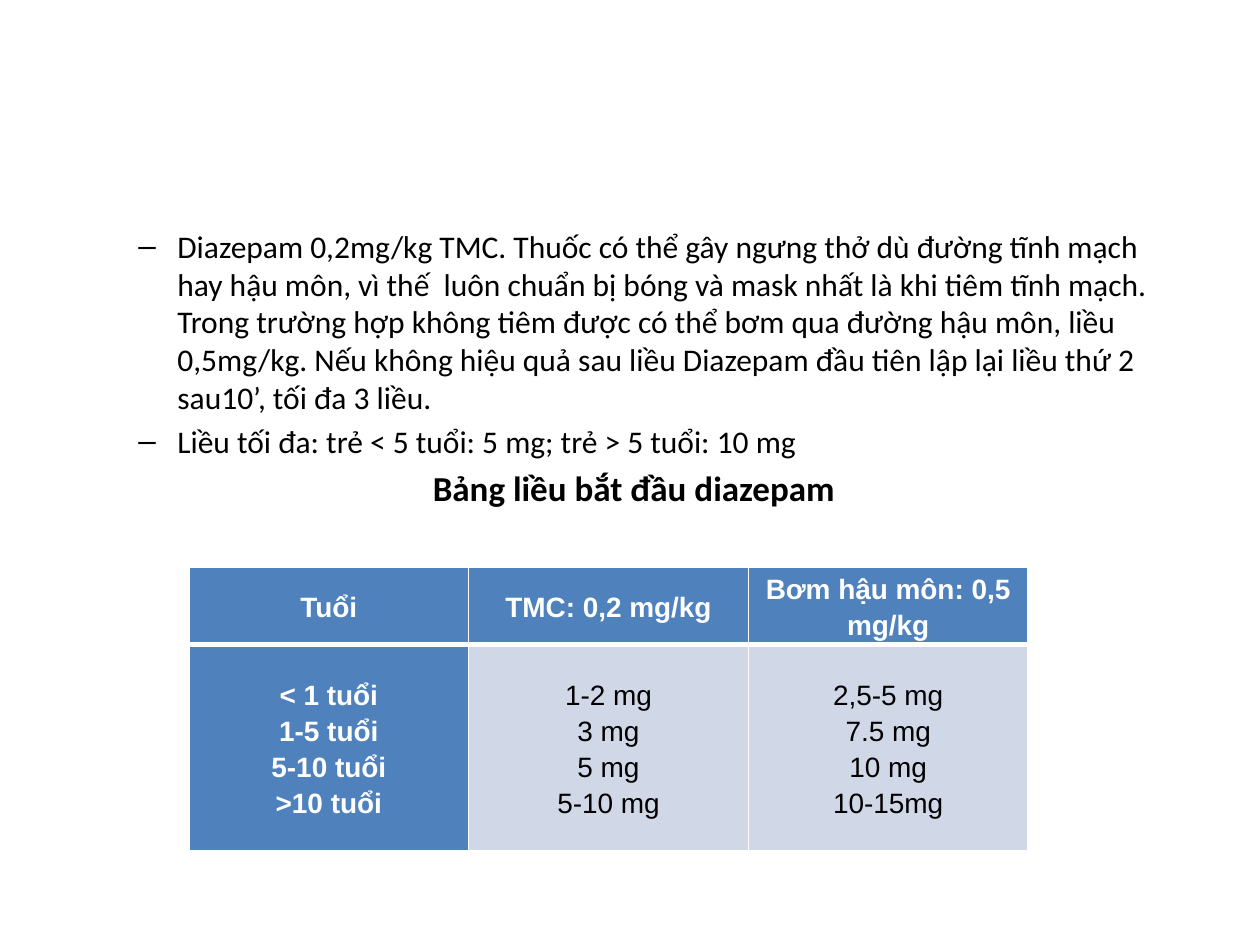
from dataclasses import dataclass

from lxml.etree import SubElement
from pptx import Presentation
from pptx.dml.color import RGBColor
from pptx.enum.text import MSO_ANCHOR, PP_ALIGN
from pptx.oxml.ns import qn
from pptx.util import Inches, Pt

BLACK = RGBColor(0x00, 0x00, 0x00)
WHITE = RGBColor(0xFF, 0xFF, 0xFF)
BLUE = RGBColor(0x4F, 0x81, 0xBD)
PALE = RGBColor(0xD0, 0xD8, 0xE8)


@dataclass
class DoseColumn:
    header: str
    doses: list[str]
    fill: RGBColor = PALE
    color: RGBColor = BLACK
    bold: bool = False


BULLETS = [
    "Diazepam 0,2mg/kg TMC. Thuốc có thể gây ngưng thở dù đường tĩnh mạch hay hậu môn, "
    "vì thế  luôn chuẩn bị bóng và mask nhất là khi tiêm tĩnh mạch. Trong trường hợp không "
    "tiêm được có thể bơm qua đường hậu môn, liều 0,5mg/kg. Nếu không hiệu quả sau liều "
    "Diazepam đầu tiên lập lại liều thứ 2 sau10’, tối đa 3 liều.",
    "Liều tối đa: trẻ < 5 tuổi: 5 mg; trẻ > 5 tuổi: 10 mg",
]
TABLE_TITLE = " Bảng liều bắt đầu diazepam"
COLUMNS = [
    DoseColumn("Tuổi", ["< 1 tuổi", "1-5 tuổi", "5-10 tuổi", ">10 tuổi"], BLUE, WHITE, True),
    DoseColumn("TMC: 0,2 mg/kg", ["1-2 mg", "3 mg", "5 mg", "5-10 mg"]),
    DoseColumn("Bơm hậu môn: 0,5 mg/kg", ["2,5-5 mg", "7.5 mg", "10 mg", "10-15mg"]),
]


def add_text(tf, text: str, *, size: float, font: str, color=BLACK, bold=False,
             align=PP_ALIGN.LEFT, margin=0.0, indent=0.0, before=0.0, spacing=1.0,
             bullet=None) -> None:
    """Write one paragraph, using the frame's empty first paragraph if it is free."""
    p = tf.paragraphs[0] if not tf.paragraphs[0].runs else tf.add_paragraph()
    p.alignment, p.line_spacing, p.space_before = align, spacing, Pt(before)
    pPr = p._p.get_or_add_pPr()
    pPr.set("marL", str(Inches(margin)))
    pPr.set("indent", str(Inches(indent)))
    if bullet:
        SubElement(pPr, qn("a:buFont"), typeface="Arial")
        SubElement(pPr, qn("a:buChar"), char=bullet)
    r = p.add_run()
    r.text = text
    r.font.name, r.font.size, r.font.bold = font, Pt(size), bold
    r.font.color.rgb = color


def set_borders(cell, top: float, bottom: float) -> None:
    tcPr = cell._tc.get_or_add_tcPr()
    for side, width in (("L", 1), ("R", 1), ("T", top), ("B", bottom)):
        ln = SubElement(tcPr, qn(f"a:ln{side}"), w=str(Pt(width)))
        fill = SubElement(ln, qn("a:solidFill"))
        SubElement(fill, qn("a:srgbClr"), val=str(WHITE))


def fill_cell(cell, lines: list[str], fill: RGBColor, color: RGBColor, bold: bool,
              top: float = 1, bottom: float = 1) -> None:
    set_borders(cell, top, bottom)
    cell.fill.solid()
    cell.fill.fore_color.rgb = fill
    cell.vertical_anchor = MSO_ANCHOR.MIDDLE
    cell.margin_left = cell.margin_right = Inches(0.07)
    cell.margin_top = cell.margin_bottom = 0
    for line in lines:
        add_text(cell.text_frame, line, size=16, font="Arial", color=color, bold=bold,
                 align=PP_ALIGN.CENTER, indent=-0.11, spacing=1.15)


def add_guidance(s) -> None:
    tf = s.shapes.add_textbox(Inches(0.5), Inches(1.75), Inches(9), Inches(4.95)).text_frame
    tf.word_wrap = True
    for text in BULLETS:
        add_text(tf, text, size=18, font="Calibri", margin=0.81, indent=-0.31,
                 before=3.6, bullet="–")
    add_text(tf, TABLE_TITLE, size=20, font="Calibri", bold=True,
             align=PP_ALIGN.CENTER, before=4)


def add_dose_table(s) -> None:
    table = s.shapes.add_table(2, len(COLUMNS), Inches(1.5), Inches(4.5),
                               Inches(6.66), Inches(2.16)).table
    for row, height in zip(table.rows, (0.52, 1.64)):
        row.height = Inches(height)
    for i, col in enumerate(COLUMNS):
        table.columns[i].width = Inches(2.22)
        fill_cell(table.cell(0, i), [col.header], BLUE, WHITE, True, bottom=3)
        fill_cell(table.cell(1, i), col.doses, col.fill, col.color, col.bold, top=3)


def main() -> None:
    prs = Presentation()
    prs.slide_width, prs.slide_height = Inches(10), Inches(7.5)
    s = prs.slides.add_slide(prs.slide_layouts[6])
    add_guidance(s)
    add_dose_table(s)
    prs.save("out.pptx")


if __name__ == "__main__":
    main()
